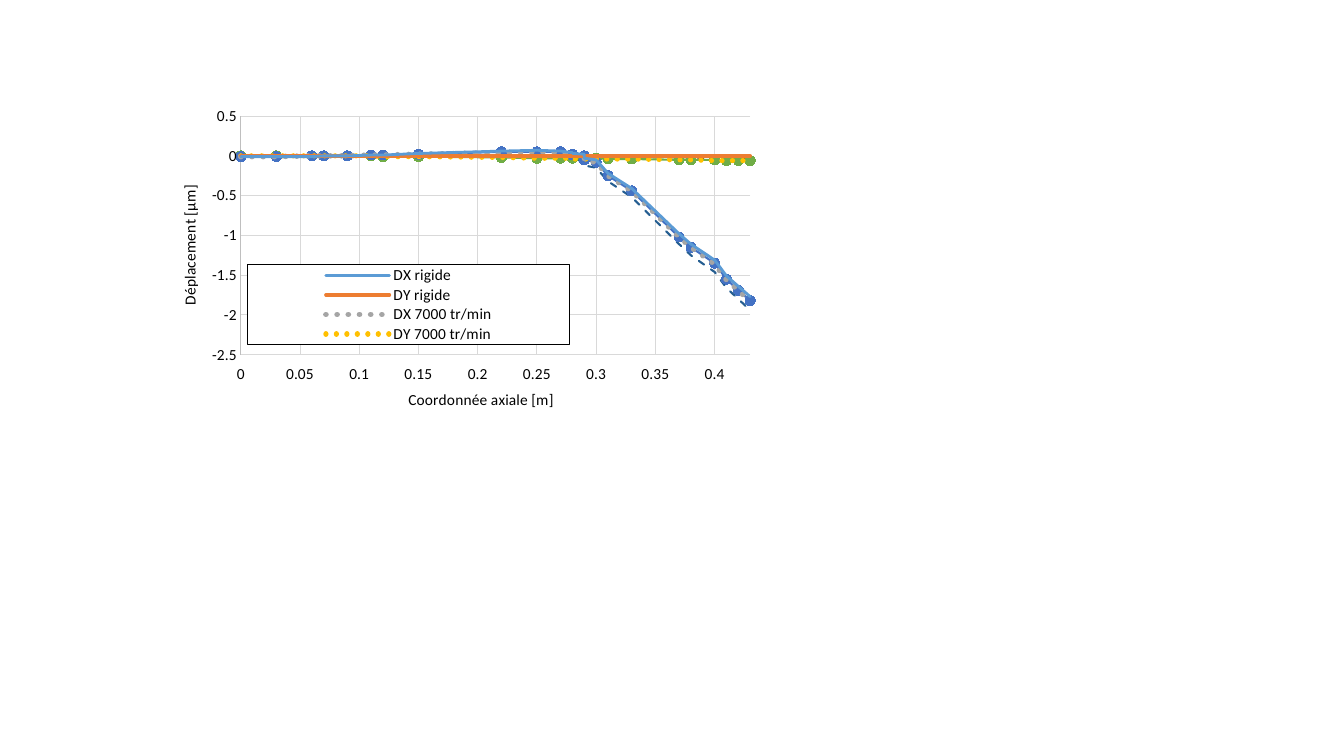
import pptx
import pptx.chart.data
import pptx.dml.color
import pptx.enum.chart
import pptx.enum.dml
import pptx.oxml
import pptx.oxml.ns
import pptx.util
from dataclasses import dataclass
from pptx.util import Inches

XL = pptx.enum.chart
DASH = pptx.enum.dml.MSO_LINE
qn = pptx.oxml.ns.qn


@dataclass(frozen=True)
class Theme:
    font: str = "Calibri"
    size: float = 11
    text: str = "000000"
    legend_fill: str = "FFFFFF"
    axis: str = "BFBFBF"
    grid: str = "D9D9D9"
    hairline: float = 0.75
    marker_size: int = 7


THEME = Theme()

AXIAL_POSITIONS = [
    0, 0.03, 0.06, 0.07, 0.09, 0.09, 0.09, 0.11, 0.12, 0.15, 0.22, 0.25, 0.27, 0.28,
    0.28, 0.29, 0.29, 0.29, 0.29, 0.3, 0.31, 0.33, 0.37, 0.38, 0.4, 0.41, 0.42, 0.43]

# name, colour, line width, dash, has markers, displacements
CURVES = [
    ("DX rigide", "5B9BD5", 2, None, False,
     [-0.01, -0.01, -0.01, 0, 0, 0, 0, 0.01, 0.01, 0.03, 0.06, 0.07, 0.06, 0.04, 0.03, 0.02,
      0.01, -0.01, -0.03, -0.05, -0.22, -0.41, -0.98, -1.11, -1.31, -1.51, -1.64, -1.77]),
    ("DY rigide", "ED7D31", 2.5, None, False, [0] * len(AXIAL_POSITIONS)),
    ("DX 7000 tr/min", "A5A5A5", 4, DASH.ROUND_DOT, False,
     [-0.01, -0.01, 0, 0, 0, 0, 0, 0.01, 0.01, 0.02, 0.04, 0.05, 0.04, 0.02, 0.01, 0,
      -0.02, -0.04, -0.06, -0.08, -0.25, -0.44, -1.02, -1.15, -1.36, -1.56, -1.69, -1.83]),
    ("DY 7000 tr/min", "FFC000", 3.75, DASH.ROUND_DOT, False,
     [0, 0, 0, 0, 0, 0, 0, 0, -0.01, -0.01, -0.02, -0.03, -0.03, -0.03, -0.04, -0.04,
      -0.04, -0.04, -0.04, -0.04, -0.04, -0.04, -0.05, -0.05, -0.06, -0.06, -0.06, -0.06]),
    ("DX 8000 tr/min", "4472C4", 1.5, None, True,
     [-0.01, -0.01, 0, 0, 0, 0, 0, 0.01, 0.01, 0.02, 0.05, 0.05, 0.05, 0.02, 0.01, 0,
      -0.01, -0.03, -0.05, -0.08, -0.25, -0.44, -1.02, -1.15, -1.35, -1.55, -1.69, -1.82]),
    ("DY 8000 tr/min", "70AD47", 1.5, None, True,
     [0, 0, 0, 0, 0, 0, 0, 0, -0.01, -0.01, -0.02, -0.03, -0.03, -0.03, -0.03, -0.03,
      -0.03, -0.03, -0.03, -0.03, -0.04, -0.04, -0.05, -0.05, -0.05, -0.06, -0.06, -0.06]),
    ("DX 500 tr/min", "255E91", 1.5, DASH.DASH, False,
     [0, 0, 0, 0, 0, 0, 0, 0, 0, 0, 0, 0, -0.01, -0.04, -0.05, -0.06,
      -0.08, -0.1, -0.12, -0.15, -0.32, -0.52, -1.11, -1.25, -1.46, -1.66, -1.8, -1.94]),
    ("DY 500 tr/min", "9E480E", 1.5, DASH.DASH, False,
     [0, 0, 0, 0, 0, 0, 0, 0, 0, 0, -0.01, -0.01, -0.01, -0.02, -0.02, -0.02,
      -0.02, -0.02, -0.02, -0.02, -0.02, -0.02, -0.02, -0.02, -0.03, -0.03, -0.03, -0.03]),
]
LEGEND_CURVES = 4


def rgb(value):
    return pptx.dml.color.RGBColor.from_string(value)


def style_font(font):
    font.name = THEME.font
    font.size = pptx.util.Pt(THEME.size)
    font.bold = False
    font.color.rgb = rgb(THEME.text)


def style_line(line, color, width):
    line.color.rgb = rgb(color)
    line.width = pptx.util.Pt(width)


def manual_layout(x, y, w, h, inner=False):
    """Return a c:layout element placed in fractions of the chart."""
    target = '<c:layoutTarget val="inner"/>' if inner else ""
    return pptx.oxml.parse_xml(
        f'<c:layout {pptx.oxml.ns.nsdecls("c")}><c:manualLayout>{target}'
        '<c:xMode val="edge"/><c:yMode val="edge"/>'
        f'<c:x val="{x}"/><c:y val="{y}"/><c:w val="{w}"/><c:h val="{h}"/>'
        '</c:manualLayout></c:layout>')


def format_axis(axis, title, low, high, step):
    axis.minimum_scale, axis.maximum_scale, axis.major_unit = low, high, step
    axis.major_tick_mark = axis.minor_tick_mark = XL.XL_TICK_MARK.NONE
    axis.tick_labels.number_format = "General"
    axis.tick_labels.number_format_is_linked = False
    style_font(axis.tick_labels.font)
    style_line(axis.format.line, THEME.axis, THEME.hairline)
    axis.has_major_gridlines = True
    style_line(axis.major_gridlines.format.line, THEME.grid, THEME.hairline)
    axis.has_title = True
    tf = axis.axis_title.text_frame
    r = tf.paragraphs[0].add_run()
    r.text = title
    style_font(r.font)
    return tf


def format_curve(series, color, width, dash, has_markers):
    series.smooth = True
    style_line(series.format.line, color, width)
    series.format.line.dash_style = dash
    series._element.find(qn("c:spPr")).find(qn("a:ln")).set("cap", "rnd")
    marker = series.marker
    if has_markers:
        marker.style = XL.XL_MARKER_STYLE.CIRCLE
        marker.size = THEME.marker_size
        marker.format.fill.solid()
        marker.format.fill.fore_color.rgb = rgb(color)
        style_line(marker.format.line, color, THEME.hairline)
    else:
        marker.style = XL.XL_MARKER_STYLE.NONE


def add_legend(chart):
    """Boxed legend over the plot, listing only the first curves."""
    chart.has_legend = True
    legend = chart.legend
    legend.position = XL.XL_LEGEND_POSITION.BOTTOM
    legend.include_in_layout = False
    style_font(legend.font)
    el = legend._element
    for old in el.findall(qn("c:layout")):
        el.remove(old)
    ns = pptx.oxml.ns.nsdecls("c", "a")
    parts = [pptx.oxml.parse_xml(
        f'<c:legendEntry {ns}><c:idx val="{i}"/><c:delete val="1"/></c:legendEntry>')
        for i in range(LEGEND_CURVES, len(CURVES))]
    parts.append(manual_layout(0.12, 0.53, 0.54, 0.25))
    for i, part in enumerate(parts, 1):
        el.insert(i, part)
    el.find(qn("c:overlay")).addnext(pptx.oxml.parse_xml(
        f'<c:spPr {ns}><a:solidFill><a:srgbClr val="{THEME.legend_fill}"/></a:solidFill>'
        f'<a:ln w="{pptx.util.Pt(THEME.hairline)}"><a:solidFill>'
        f'<a:srgbClr val="{THEME.text}"/></a:solidFill></a:ln></c:spPr>'))


def add_displacement_chart(slide):
    data = pptx.chart.data.XyChartData()
    for name, *_, displacements in CURVES:
        points = data.add_series(name)
        for x, y in zip(AXIAL_POSITIONS, displacements):
            points.add_data_point(x, y)
    chart = slide.shapes.add_chart(
        XL.XL_CHART_TYPE.XY_SCATTER_SMOOTH_NO_MARKERS,
        Inches(1.75), Inches(0.96), Inches(5.91), Inches(3.15), data).chart
    chart.has_title = False
    style_font(chart.font)
    plot = chart.plots[0]
    plot.vary_by_categories = False
    for series, (_, color, width, dash, has_markers, _) in zip(plot.series, CURVES):
        format_curve(series, color, width, dash, has_markers)

    format_axis(chart.category_axis, "Coordonnée axiale [m]", 0, 0.43, 0.05)
    chart.category_axis.tick_label_position = XL.XL_TICK_LABEL_POSITION.LOW
    tf = format_axis(chart.value_axis, "Déplacement [µm]", -2.5, 0.5, 0.5)
    body = tf._txBody.find(qn("a:bodyPr"))
    body.set("rot", "-5400000")
    body.set("vert", "horz")

    area = chart._chartSpace.find(qn("c:chart")).find(qn("c:plotArea"))
    for old in area.findall(qn("c:layout")):
        area.remove(old)
    area.insert(0, manual_layout(0.108, 0.061, 0.855, 0.752, inner=True))
    add_legend(chart)


def main():
    prs = pptx.Presentation()
    prs.slide_width, prs.slide_height = Inches(13.33), Inches(7.5)
    slide = prs.slides.add_slide(prs.slide_layouts[6])
    add_displacement_chart(slide)
    prs.save("out.pptx")


if __name__ == "__main__":
    main()
